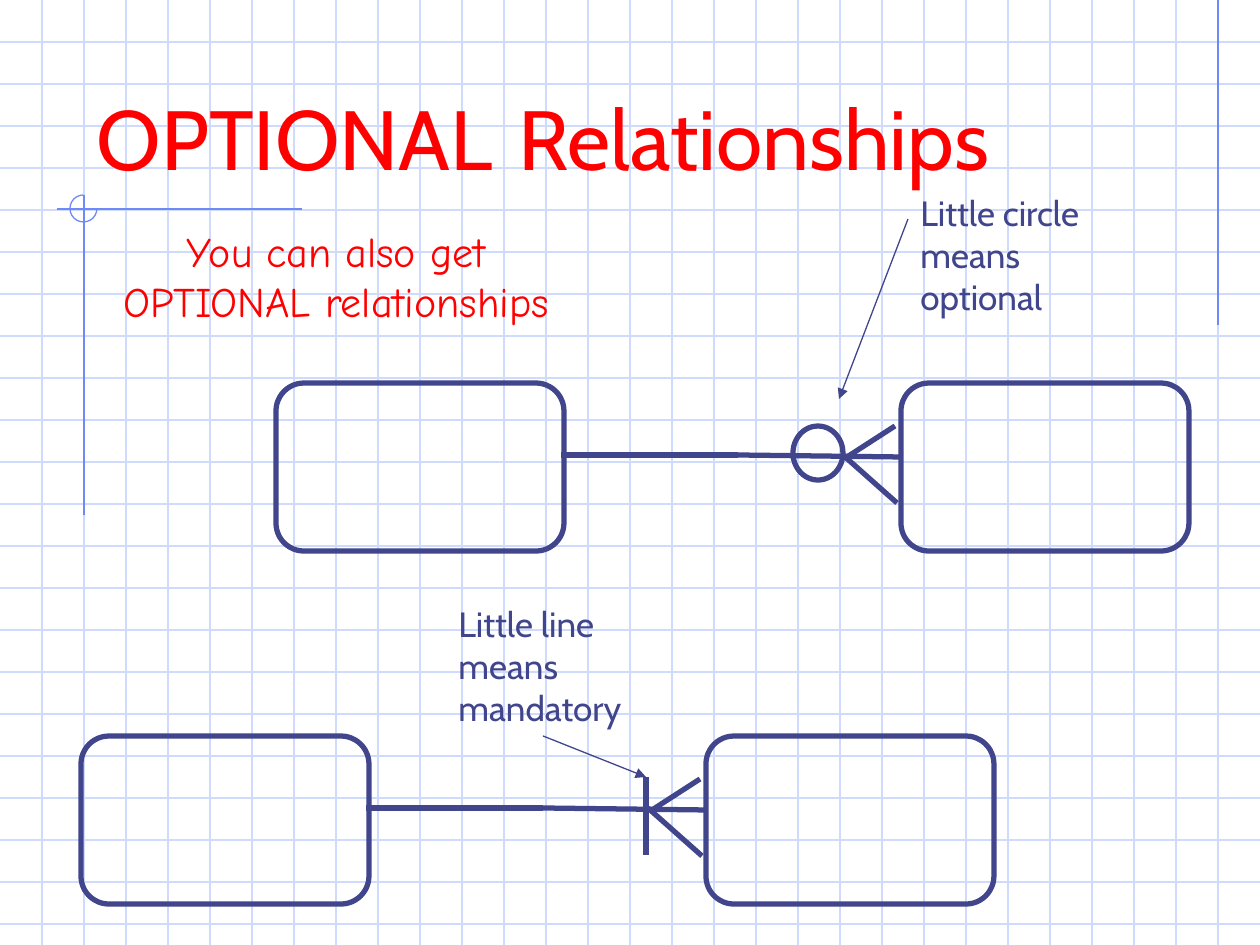
from lxml.etree import SubElement
from pptx import Presentation
from pptx.dml.color import RGBColor
from pptx.enum.shapes import MSO_CONNECTOR, MSO_SHAPE
from pptx.enum.text import MSO_ANCHOR, MSO_AUTO_SIZE, PP_ALIGN
from pptx.oxml.ns import qn
from pptx.util import Emu, Pt

COLORS = {"grid": "CFDBFD", "accent": "6F89F7", "ink": "40458C", "red": "FF0000"}
WIDTH, HEIGHT, GRID_STEP = 1260, 945, 42
ENTITY_WIDTH, ENTITY_HEIGHT, ENTITY_PITCH = 288, 168, 625


def px(length):
    """Turn a length in px into EMU."""
    return Emu(round(length * 914400 / 126))


def color(name):
    """Look up a colour of the slide."""
    return RGBColor.from_string(COLORS[name])


def add_line(shapes, start, end, color_name, weight=0.75, arrow=False):
    """Draw a straight line, with an arrowhead at its end if asked."""
    line = shapes.add_connector(MSO_CONNECTOR.STRAIGHT, *map(px, (*start, *end)))
    line.line.color.rgb = color(color_name)
    line.line.width = Pt(weight)
    properties = line.element.spPr
    SubElement(properties, qn("a:effectLst"))
    if arrow:
        SubElement(properties.find(qn("a:ln")), qn("a:tailEnd"), type="triangle")


def add_outline(shapes, preset, box, color_name, weight):
    """Draw an unfilled preset shape."""
    outline = shapes.add_shape(preset, *map(px, box))
    outline.shadow.inherit = False
    outline.fill.background()
    outline.line.color.rgb = color(color_name)
    outline.line.width = Pt(weight)
    return outline


def add_text(slide, box, text, size, font, color_name, align=PP_ALIGN.LEFT):
    """Write a wrapped paragraph in a text box."""
    frame = slide.shapes.add_textbox(*map(px, box)).text_frame
    frame.word_wrap = True
    frame.auto_size = MSO_AUTO_SIZE.SHAPE_TO_FIT_TEXT
    paragraph = frame.paragraphs[0]
    paragraph.text = text
    paragraph.alignment = align
    paragraph.font.size = Pt(size)
    paragraph.font.name = font
    paragraph.font.color.rgb = color(color_name)


def add_background(slide):
    """Draw the graph paper and its ruled corner marks."""
    shapes = slide.shapes.add_group_shape().shapes
    for y in range(GRID_STEP, HEIGHT, GRID_STEP):
        add_line(shapes, (0, y), (WIDTH, y), "grid")
    for x in range(GRID_STEP, WIDTH, GRID_STEP):
        add_line(shapes, (x, 0), (x, HEIGHT), "grid")
    add_line(shapes, (1218, 0), (1218, 325), "accent")
    add_line(shapes, (302, 209), (57, 209), "accent")
    add_line(shapes, (84, 195), (84, 515), "accent")
    corner_arc = add_outline(shapes, MSO_SHAPE.ARC, (70, 195, 27, 27), "accent", 0.75)
    corner_arc.adjustments[0] = 0
    corner_arc.adjustments[1] = 162


def add_title(slide):
    """Fill the title placeholder and bring it in front of the grid."""
    title = slide.shapes.title
    title.element.getparent().append(title.element)
    title.left, title.top, title.width, title.height = map(px, (84, 42, 1071, 158))
    frame = title.text_frame
    frame.auto_size = MSO_AUTO_SIZE.NONE
    frame.vertical_anchor = MSO_ANCHOR.BOTTOM
    paragraph = frame.paragraphs[0]
    paragraph.alignment = PP_ALIGN.LEFT
    paragraph.font.name = "Cabin"
    paragraph.font.color.rgb = color("red")
    for text, size in (("OPTIONAL", 48), (" ", 66), ("Relationships", 48)):
        run = paragraph.add_run()
        run.text = text
        run.font.size = Pt(size)


def add_relationship(slide, left, top, optional):
    """Draw two entities joined by a crow's foot, optional or mandatory."""
    shapes = slide.shapes.add_group_shape().shapes
    for entity_left in (left, left + ENTITY_PITCH):
        add_outline(shapes, MSO_SHAPE.FLOWCHART_ALTERNATE_PROCESS,
                    (entity_left, top, ENTITY_WIDTH, ENTITY_HEIGHT), "ink", 3)
    strokes = [
        ((462, 72), (625, 74)),
        ((567, 72), (621, 120)),
        ((571, 74), (619, 43)),
        ((285, 72), (462, 72)),
    ]
    if optional:
        add_outline(shapes, MSO_SHAPE.OVAL, (left + 517, top + 43, 50, 54), "ink", 3)
    else:
        strokes.append(((565, 41), (565, 119)))
    for (x1, y1), (x2, y2) in strokes:
        add_line(shapes, (left + x1, top + y1), (left + x2, top + y2), "ink", 3)


def add_note(slide, left, top, text, arrow_start, arrow_end):
    """Write a note and point its arrow at the symbol."""
    add_text(slide, (left, top, 220, 139), text, 20, "Cabin", "ink")
    add_line(slide.shapes, arrow_start, arrow_end, "ink", arrow=True)


def main():
    """Build the slide and save it."""
    presentation = Presentation()
    presentation.slide_width, presentation.slide_height = px(WIDTH), px(HEIGHT)
    slide = presentation.slides.add_slide(presentation.slide_layouts[5])
    add_background(slide)
    add_title(slide)
    add_text(slide, (89, 219, 494, 113), "You can also get OPTIONAL relationships",
             24, "Comic Neue", "red", PP_ALIGN.CENTER)
    add_relationship(slide, 276, 383, optional=True)
    add_note(slide, 908, 185, "Little circle means optional", (908, 219), (839, 399))
    add_relationship(slide, 81, 736, optional=False)
    add_note(slide, 446, 596, "Little line means mandatory", (543, 736), (646, 777))
    presentation.save("out.pptx")


if __name__ == "__main__":
    main()
